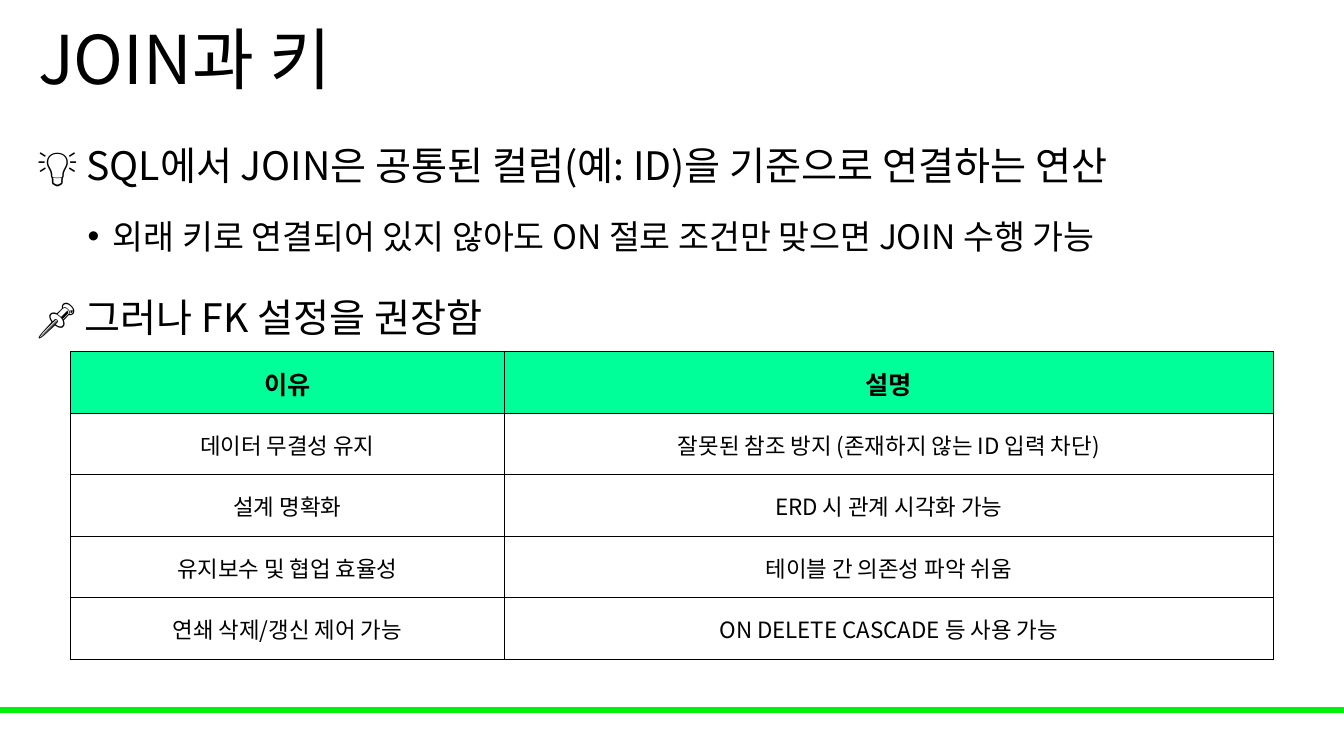
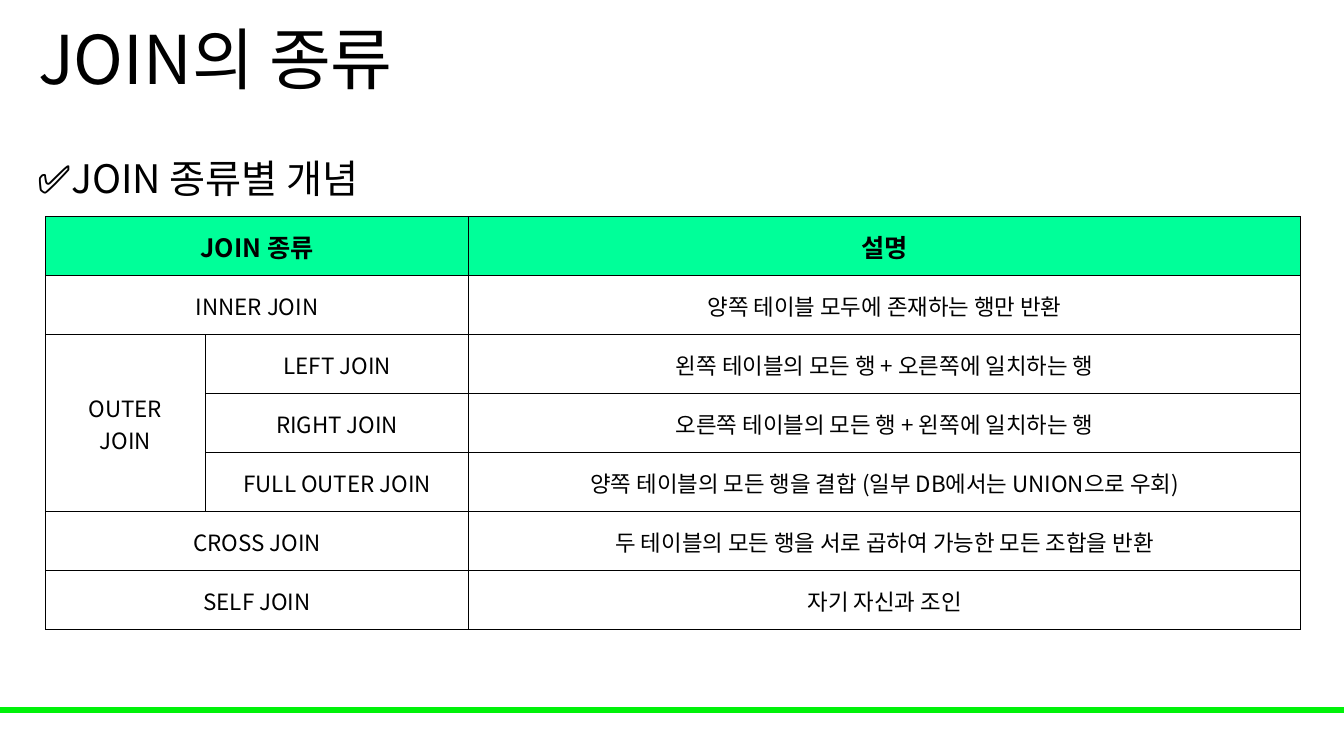
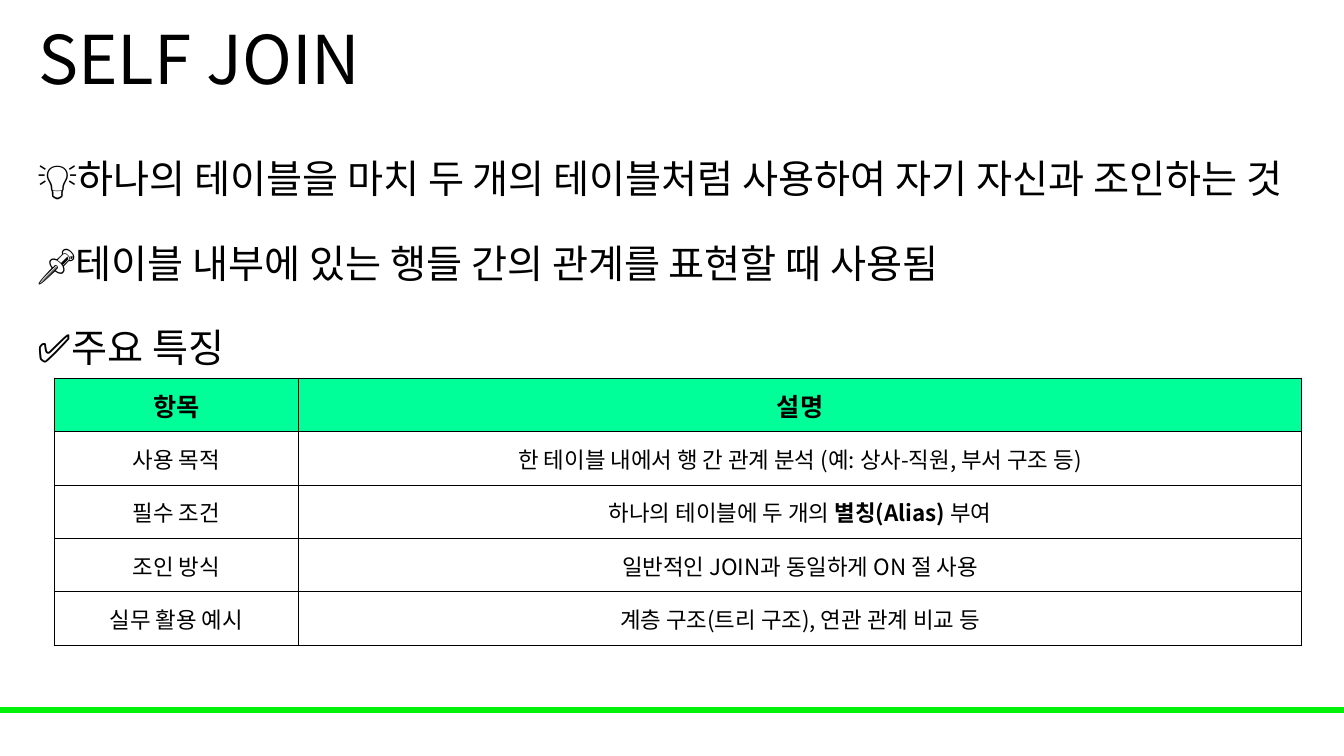
"""Three slides on SQL joins, each with a title, notes and a bordered table."""
from dataclasses import dataclass

from lxml.etree import SubElement
from pptx import Presentation
from pptx.dml.color import RGBColor
from pptx.enum.shapes import MSO_SHAPE
from pptx.enum.text import MSO_ANCHOR, PP_ALIGN
from pptx.oxml.ns import qn
from pptx.util import Inches, Pt

FACE = "Noto Sans CJK KR"
BLACK = RGBColor(0x00, 0x00, 0x00)
GREEN = RGBColor(0x00, 0xF2, 0x09)
MINT = RGBColor(0x00, 0xFF, 0x99)
WIDE, HIGH = Inches(13.33), Inches(7.5)


@dataclass(frozen=True)
class Note:
    text: str
    sub: bool = False


@dataclass(frozen=True)
class Grid:
    left: float
    top: float
    cols: tuple[float, ...]
    row: float
    rows: tuple[tuple[str, ...], ...]
    spans: tuple[tuple[int, int, int, int], ...] = ()


@dataclass(frozen=True)
class Page:
    title: str
    top: float
    high: float
    notes: tuple[Note, ...]
    grid: Grid


PAGES = (
    Page(
        "JOIN과 키", 1.12, 2.5,
        (
            Note("💡 SQL에서 JOIN은 공통된 컬럼(예: ID)을 기준으로 연결하는 연산"),
            Note("외래 키로 연결되어 있지 않아도 ON 절로 조건만 맞으면 JOIN 수행 가능", True),
            Note("📌 그러나 FK 설정을 권장함"),
        ),
        Grid(0.7, 3.49, (4.3, 7.63), 0.61, (
            ("이유", "설명"),
            ("데이터 무결성 유지", "잘못된 참조 방지 (존재하지 않는 ID 입력 차단)"),
            ("설계 명확화", "ERD 시 관계 시각화 가능"),
            ("유지보수 및 협업 효율성", "테이블 간 의존성 파악 쉬움"),
            ("연쇄 삭제/갱신 제어 가능", "ON DELETE CASCADE 등 사용 가능"),
        )),
    ),
    Page(
        "JOIN의 종류", 1.25, 1.68,
        (Note("✅JOIN 종류별 개념"),),
        Grid(0.45, 2.15, (1.59, 2.61, 8.25), 0.585, (
            ("JOIN 종류", "", "설명"),
            ("INNER JOIN", "", "양쪽 테이블 모두에 존재하는 행만 반환"),
            ("OUTER\vJOIN", "LEFT JOIN", "왼쪽 테이블의 모든 행 + 오른쪽에 일치하는 행"),
            ("", "RIGHT JOIN", "오른쪽 테이블의 모든 행 + 왼쪽에 일치하는 행"),
            ("", "FULL OUTER JOIN",
             "양쪽 테이블의 모든 행을 결합 (일부 DB에서는 UNION으로 우회)"),
            ("CROSS JOIN", "", "두 테이블의 모든 행을 서로 곱하여 가능한 모든 조합을 반환"),
            ("SELF JOIN", "", "자기 자신과 조인"),
        ), ((0, 0, 0, 1), (1, 0, 1, 1), (2, 0, 4, 0), (5, 0, 5, 1), (6, 0, 6, 1))),
    ),
    Page(
        "SELF JOIN", 1.25, 2.5,
        (
            Note("💡하나의 테이블을 마치 두 개의 테이블처럼 사용하여 자기 자신과 조인하는 것"),
            Note("📌테이블 내부에 있는 행들 간의 관계를 표현할 때 사용됨"),
            Note("✅주요 특징"),
        ),
        Grid(0.54, 3.75, (2.42, 9.95), 0.53, (
            ("항목", "설명"),
            ("사용 목적", "한 테이블 내에서 행 간 관계 분석 (예: 상사-직원, 부서 구조 등)"),
            ("필수 조건", "하나의 테이블에 두 개의 **별칭(Alias)** 부여"),
            ("조인 방식", "일반적인 JOIN과 동일하게 ON 절 사용"),
            ("실무 활용 예시", "계층 구조(트리 구조), 연관 관계 비교 등"),
        )),
    ),
)


def style(run, size: float, bold: bool = False) -> None:
    font = run.font
    font.name, font.size, font.bold = FACE, Pt(size), bold
    font.color.rgb = BLACK
    SubElement(font._element, qn("a:ea"), typeface=FACE)


def add_box(slide, left: float, top: float, width: float, high: float):
    frame = slide.shapes.add_textbox(
        Inches(left), Inches(top), Inches(width), Inches(high)).text_frame
    frame.word_wrap = True
    return frame


def add_title(slide, text: str) -> None:
    frame = add_box(slide, 0.28, 0, 11.5, 1.25)
    frame.vertical_anchor = MSO_ANCHOR.MIDDLE
    frame.text = text
    para = frame.paragraphs[0]
    para.line_spacing = 0.9
    style(para.runs[0], 48)


def add_bar(slide) -> None:
    bar = slide.shapes.add_shape(MSO_SHAPE.RECTANGLE, 0, Inches(7.02), WIDE, Inches(0.05))
    bar.shadow.inherit = False
    bar.fill.solid()
    bar.fill.fore_color.rgb = GREEN
    bar.line.color.rgb = GREEN
    bar.line.width = Pt(1)


def add_notes(slide, page: Page) -> None:
    frame = add_box(slide, 0.27, page.top, 12.8, page.high)
    frame.text = "\n".join(note.text for note in page.notes)
    for rank, (para, note) in enumerate(zip(frame.paragraphs, page.notes)):
        para.line_spacing = 1.5
        if rank:
            para.space_before = Pt(5 if note.sub else 10)
        if note.sub:
            para.level = 1
            props = para._p.get_or_add_pPr()
            props.set("marL", str(Inches(0.75)))
            props.set("indent", str(Inches(-0.25)))
            SubElement(props, qn("a:buFont"), typeface="Arial")
            SubElement(props, qn("a:buChar"), char="•")
        style(para.runs[0], 24 if note.sub else 28)


def add_edges(cell) -> None:
    props = cell._tc.get_or_add_tcPr()
    for side in ("lnL", "lnR", "lnT", "lnB"):
        edge = SubElement(props, qn(f"a:{side}"), w=str(Pt(0.5)))
        fill = SubElement(edge, qn("a:solidFill"))
        SubElement(fill, qn("a:srgbClr"), val=str(BLACK))


def fill_cell(cell, text: str, head: bool) -> None:
    cell.margin_left = cell.margin_top = cell.margin_right = Inches(0.01)
    cell.margin_bottom = 0
    cell.vertical_anchor = MSO_ANCHOR.MIDDLE
    add_edges(cell)
    if head:
        cell.fill.solid()
        cell.fill.fore_color.rgb = MINT
    else:
        cell.fill.background()
    para = cell.text_frame.paragraphs[0]
    para.alignment = PP_ALIGN.CENTER
    first, *rest = text.split("**")
    para.text = first
    for part in rest:
        para.add_run().text = part
    for rank, run in enumerate(para.runs):
        style(run, 18 if head else 16, head or rank % 2 == 1 and bool(rest))


def add_grid(slide, grid: Grid) -> None:
    count = len(grid.rows)
    table = slide.shapes.add_table(
        count, len(grid.cols), Inches(grid.left), Inches(grid.top),
        Inches(sum(grid.cols)), Inches(grid.row * count)).table
    for col, width in zip(table.columns, grid.cols):
        col.width = Inches(width)
    for y, texts in enumerate(grid.rows):
        table.rows[y].height = Inches(grid.row)
        for x, text in enumerate(texts):
            fill_cell(table.cell(y, x), text, y == 0)
    for top, left, low, right in grid.spans:
        table.cell(top, left).merge(table.cell(low, right))
    if grid.spans:
        for row in table.rows:
            for cell in row.cells:
                if cell.is_spanned:
                    cell.text_frame.paragraphs[0].font.size = Pt(16)


def main() -> None:
    deck = Presentation()
    deck.slide_width, deck.slide_height = WIDE, HIGH
    for page in PAGES:
        slide = deck.slides.add_slide(deck.slide_layouts[6])
        add_bar(slide)
        add_title(slide, page.title)
        add_notes(slide, page)
        add_grid(slide, page.grid)
    deck.save("out.pptx")


if __name__ == "__main__":
    main()
